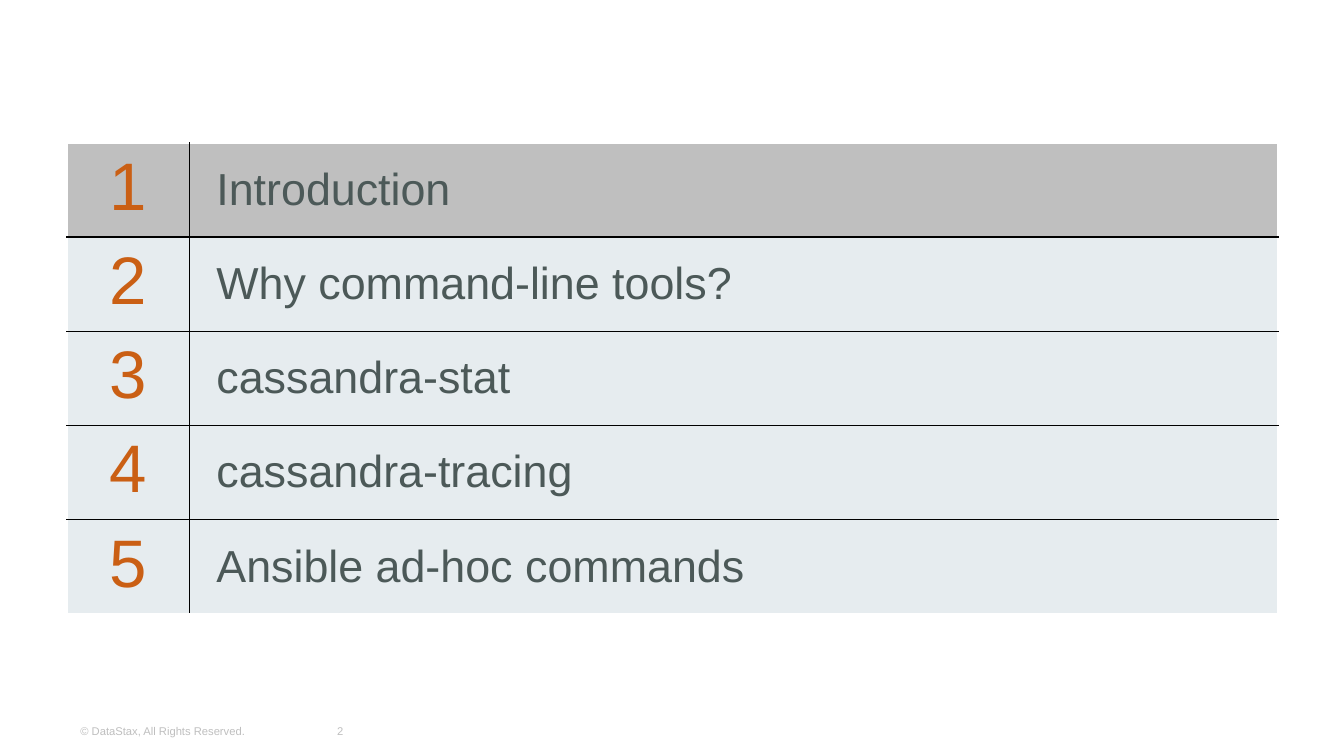
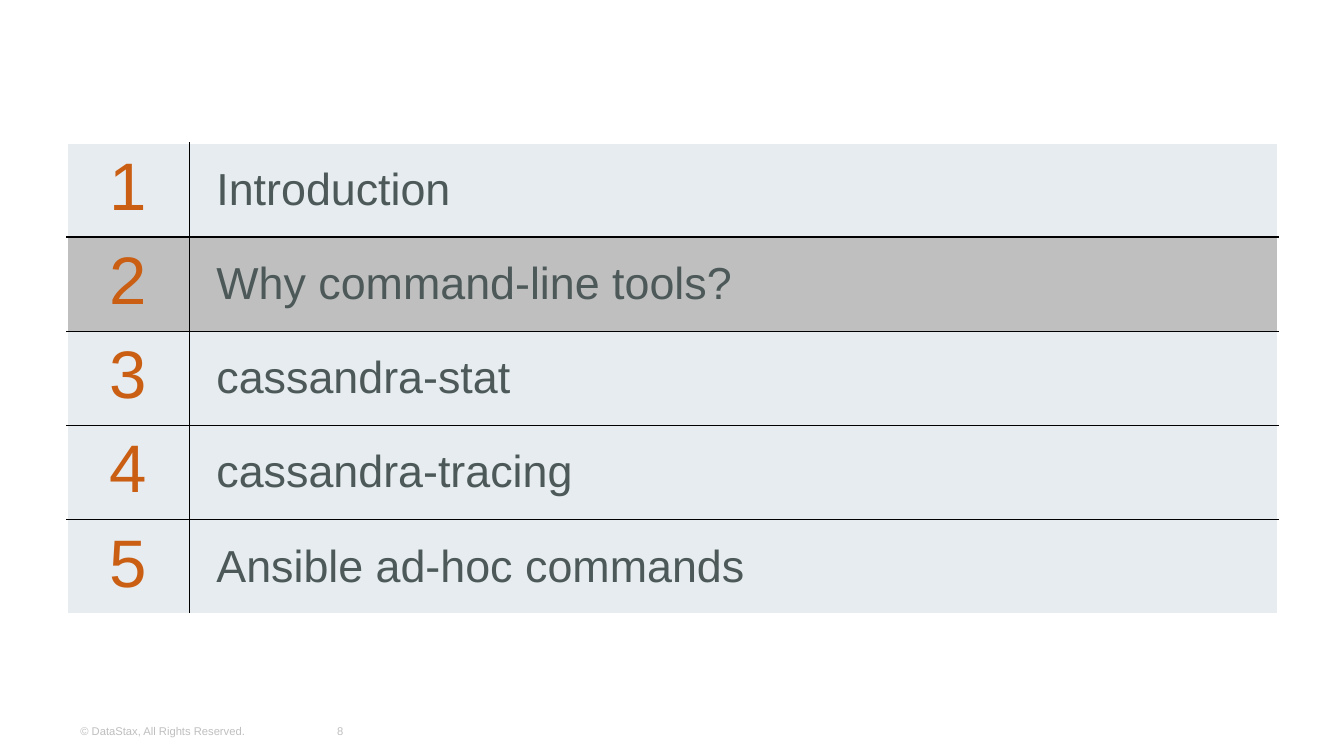
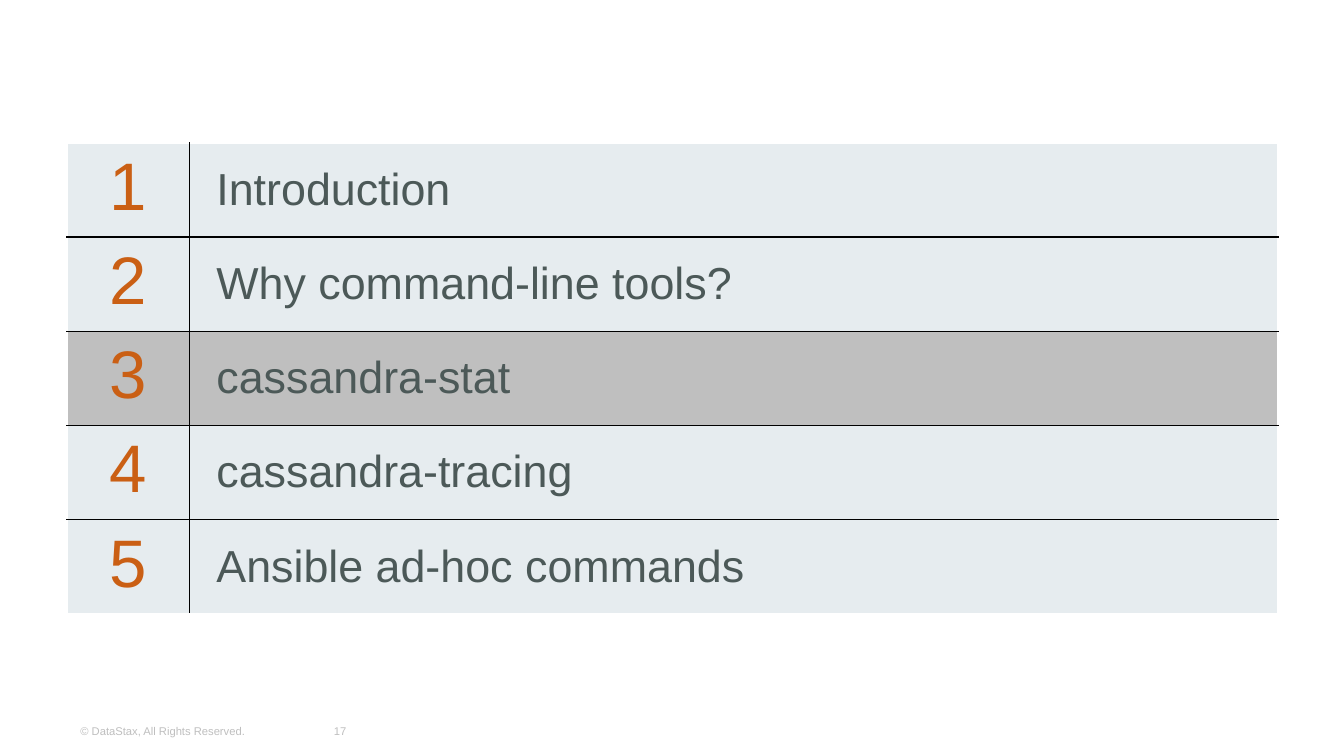
from dataclasses import dataclass

from lxml import etree
from pptx import Presentation
from pptx import util as u
from pptx.dml.color import RGBColor
from pptx.enum import text
from pptx.oxml import ns


@dataclass(frozen=True)
class Theme:
    font: str = "Arial"
    number_color: str = "CA5F14"
    topic_color: str = "4C5958"
    footer_color: str = "BFBFBF"
    row_fill: str = "E6ECEF"
    current_fill: str = "BFBFBF"
    rule_color: str = "000000"
    edge_color: str = "FFFFFF"
    number_size: int = 36
    topic_size: int = 24
    footer_size: int = 6


theme = Theme()
COPYRIGHT = "© DataStax, All Rights Reserved."
TOPICS = [
    "Introduction",
    "Why command-line tools?",
    "cassandra-stat",
    "cassandra-tracing",
    "Ansible ad-hoc commands",
]
PAGE_NUMBERS = [2, 8, 17]  # one agenda slide per section, in topic order
COLUMN_WIDTHS = [u.Cm(2.31), u.Cm(20.57)]
ROW_HEIGHT = u.Cm(1.78)
LEFT = u.Cm(1.27)


def write(frame, words, size, color, align):
    frame.text = words
    para = frame.paragraphs[0]
    para.alignment = align
    for span in para.runs:
        span.font.name = theme.font
        span.font.size = u.Pt(size)
        span.font.color.rgb = RGBColor.from_string(color)


def add_border(cell, side, is_edge):
    """Draw one side (L, R, T or B) of a cell; call before setting its fill."""
    width = u.Pt(1 if is_edge else 0.75)
    line = etree.SubElement(cell._tc.get_or_add_tcPr(), ns.qn(f"a:ln{side}"), w=str(width))
    fill = etree.SubElement(line, ns.qn("a:solidFill"))
    color = theme.edge_color if is_edge else theme.rule_color
    etree.SubElement(fill, ns.qn("a:srgbClr"), val=color)


deck = Presentation()
deck.slide_width, deck.slide_height = u.Cm(25.4), u.Cm(14.29)
blank = deck.slide_layouts[6]
center, left = text.PP_ALIGN.CENTER, text.PP_ALIGN.LEFT

for current, page_number in enumerate(PAGE_NUMBERS):
    page = deck.slides.add_slide(blank)

    agenda = page.shapes.add_table(
        len(TOPICS), 2, LEFT, u.Cm(2.7), sum(COLUMN_WIDTHS), ROW_HEIGHT * len(TOPICS)
    ).table
    agenda.first_row = agenda.horz_banding = False
    for column, width in zip(agenda.columns, COLUMN_WIDTHS):
        column.width = width

    for index, topic in enumerate(TOPICS):
        agenda.rows[index].height = ROW_HEIGHT
        number_cell, topic_cell = agenda.cell(index, 0), agenda.cell(index, 1)
        write(number_cell.text_frame, str(index + 1), theme.number_size, theme.number_color, center)
        write(topic_cell.text_frame, topic, theme.topic_size, theme.topic_color, left)
        topic_cell.vertical_anchor = text.MSO_ANCHOR.MIDDLE
        topic_cell.margin_left = u.Cm(0.51)

        for cell in (number_cell, topic_cell):
            add_border(cell, "L", cell is number_cell)
            add_border(cell, "R", cell is topic_cell)
            add_border(cell, "T", index == 0)
            add_border(cell, "B", index == len(TOPICS) - 1)
            cell.fill.solid()
            fill = theme.current_fill if index == current else theme.row_fill
            cell.fill.fore_color.rgb = RGBColor.from_string(fill)

    for words, x, width, align in [
        (str(page_number), u.Cm(5.87), u.Cm(1.12), center),
        (COPYRIGHT, LEFT, u.Cm(4.42), left),
    ]:
        box = page.shapes.add_textbox(x, u.Cm(13.44), width, u.Cm(0.76))
        box.text_frame.word_wrap = True
        box.text_frame.vertical_anchor = text.MSO_ANCHOR.MIDDLE
        write(box.text_frame, words, theme.footer_size, theme.footer_color, align)

deck.save("out.pptx")
